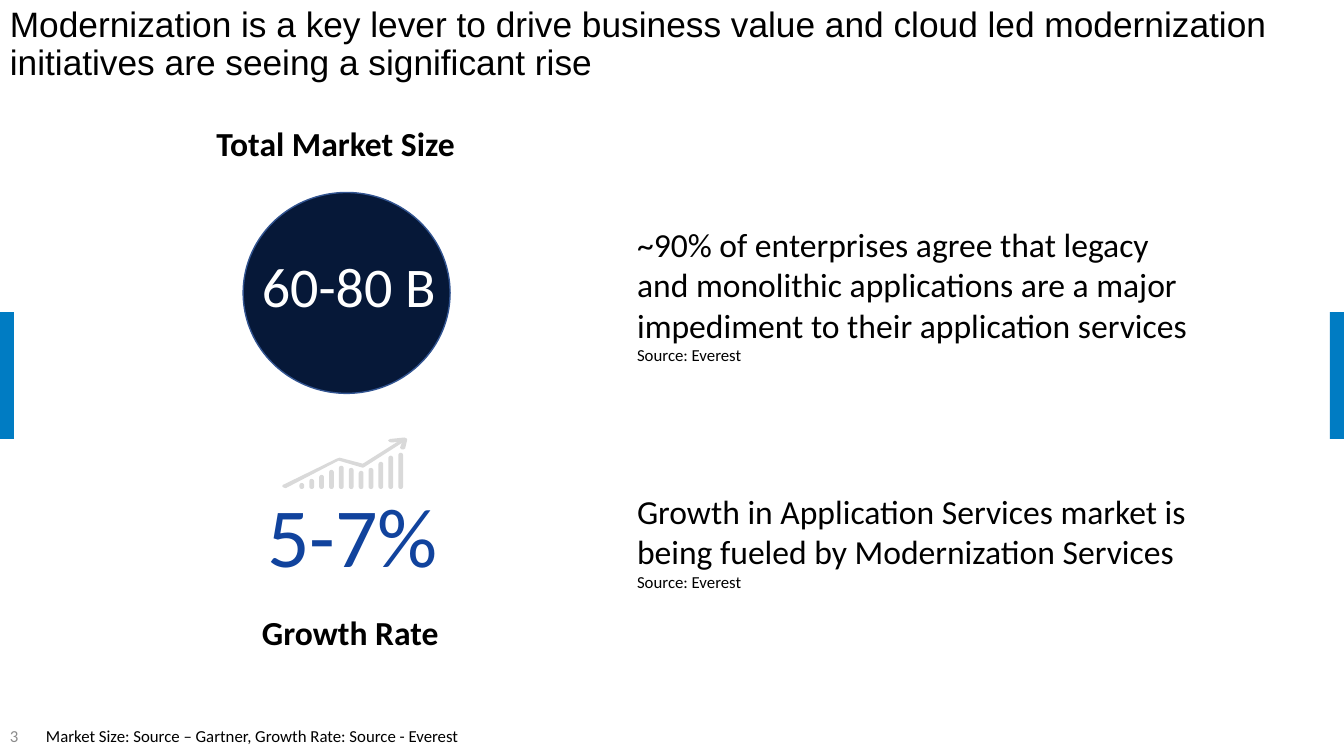
from pptx import Presentation
from pptx.dml.color import RGBColor
from pptx.enum.shapes import MSO_SHAPE
from pptx.enum.text import MSO_ANCHOR
from pptx.util import Pt

BLUE = "007CC3"
GREY = "D9D9D9"
NAVY = "061838"

BAR_HEIGHTS = [4.3, 7.2, 10.1, 13.7, 16.6, 15.1, 13, 15.1, 19.4, 23.8, 25.9]
TREND = [(203.8, 348.6), (202.2, 348), (201.6, 347.2), (202.3, 346.3),
         (240.5, 327.6), (242.6, 326.9), (259.2, 331.2), (286.6, 313.9),
         (288, 313.7), (289.2, 314.6), (288.7, 315.4), (260.6, 333.4),
         (259.2, 334.1), (241.9, 329), (204.5, 348.5)]
ARROWHEAD = [(288, 321.1), (286.6, 320.9), (285.8, 319.7), (287.3, 315.4),
             (279.4, 316.1), (278, 315.5), (277.2, 314.6), (278.6, 313.6),
             (288.7, 312.5), (290.2, 313), (290.9, 313.9), (289.4, 320.4)]


def rgb(color):
    return RGBColor.from_string(color)


def paint(sp, fill, line=None):
    sp.shadow.inherit = False
    sp.fill.solid()
    sp.fill.fore_color.rgb = rgb(fill)
    if line:
        sp.line.color.rgb = rgb(line)
        sp.line.width = Pt(1)
    else:
        sp.line.fill.background()


def add_preset(shapes, kind, x, y, w, h, fill, line=None):
    sp = shapes.add_shape(kind, Pt(x), Pt(y), Pt(w), Pt(h))
    paint(sp, fill, line)
    return sp


def add_outline(shapes, points, fill):
    pts = [(x * 100, y * 100) for x, y in points]
    builder = shapes.build_freeform(*pts[0], scale=Pt(0.01))
    builder.add_line_segments(pts[1:], close=True)
    paint(builder.convert_to_shape(), fill)


def add_text(s, text, x, y, w, h, size=24, font="Calibri", color="000000",
             bold=False, anchor=MSO_ANCHOR.TOP, spacing=None, source=None):
    tf = s.shapes.add_textbox(Pt(x), Pt(y), Pt(w), Pt(h)).text_frame
    tf.word_wrap = True
    tf.vertical_anchor = anchor
    lines = [(text, size)] + ([(source, 12)] if source else [])
    for i, (line, line_size) in enumerate(lines):
        p = tf.add_paragraph() if i else tf.paragraphs[0]
        if spacing:
            p.line_spacing = spacing
        r = p.add_run()
        r.text = line
        r.font.size = Pt(line_size)
        r.font.name = font
        r.font.bold = bold
        r.font.color.rgb = rgb(color)


def add_growth_icon(s):
    shapes = s.shapes.add_group_shape().shapes
    add_outline(shapes, TREND, GREY)
    add_outline(shapes, ARROWHEAD, GREY)
    for i, height in enumerate(BAR_HEIGHTS):
        bar = add_preset(shapes, MSO_SHAPE.ROUNDED_RECTANGLE,
                         213.9 + 7.06 * i, 349.3 - height, 3.4, height, GREY)
        bar.adjustments[0] = 0.5


def main():
    prs = Presentation()
    prs.slide_width, prs.slide_height = Pt(960), Pt(540)
    s = prs.slides.add_slide(prs.slide_layouts[6])

    for x in (0, 950):
        add_preset(s.shapes, MSO_SHAPE.RECTANGLE, x, 223, 10, 90.6, BLUE)
    add_growth_icon(s)

    add_text(s, "Modernization is a key lever to drive business value and cloud "
             "led modernization initiatives are seeing a significant rise",
             0, 10, 916, 44, size=25.2, font="Arial",
             anchor=MSO_ANCHOR.MIDDLE, spacing=0.9)

    add_text(s, "Total Market Size", 147.5, 84.3, 193, 36, bold=True)
    add_preset(s.shapes, MSO_SHAPE.OVAL, 173.7, 137.5, 147.8, 143.5, NAVY, "325491")
    add_text(s, "60-80 B", 180, 176.4, 152, 55.5, size=40, color="FFFFFF")

    add_text(s, "5-7%", 183.8, 342, 148, 80, size=60, color="11439D")
    add_text(s, "Growth Rate", 180, 433.6, 142, 36, bold=True)

    add_text(s, "~90% of enterprises agree that legacy and monolithic applications "
             "are a major impediment to their application services",
             448, 156.4, 410.4, 108.7, source="Source: Everest")
    add_text(s, "Growth in Application Services market is being fueled by "
             "Modernization Services",
             448, 347.2, 410.4, 80, source="Source: Everest")

    add_text(s, "Market Size: Source – Gartner, Growth Rate: Source - Everest",
             25.8, 515, 615, 21.6, size=12)
    add_text(s, "3", 0, 511.5, 216, 28.5, size=12, color="8C8C8C",
             anchor=MSO_ANCHOR.MIDDLE)

    prs.save("out.pptx")


if __name__ == "__main__":
    main()
